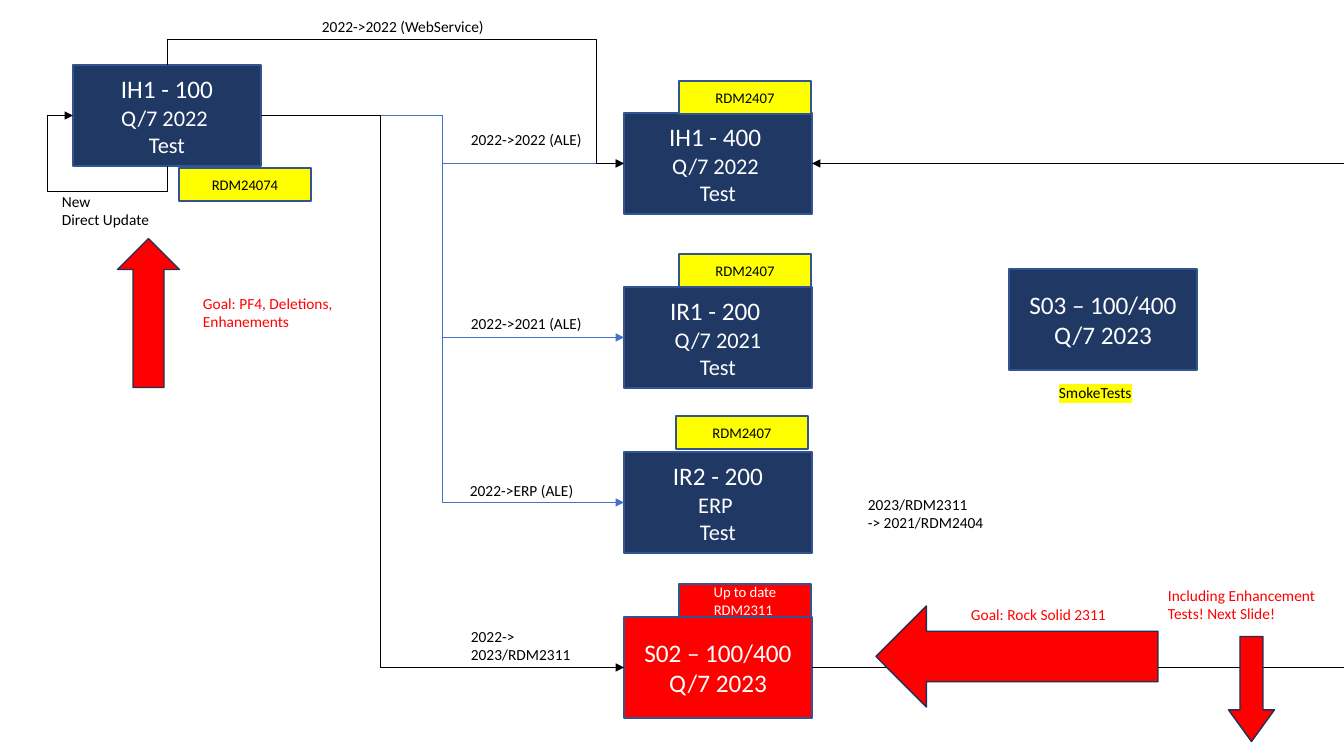
from lxml.etree import SubElement
from pptx import Presentation
from pptx.dml.color import RGBColor
from pptx.enum.shapes import MSO_CONNECTOR, MSO_SHAPE
from pptx.enum.text import MSO_ANCHOR, MSO_AUTO_SIZE, PP_ALIGN
from pptx.oxml.ns import qn
from pptx.util import Pt

EMU_PER_PX = 914400 / 100.8
PAGE_WIDTH, PAGE_HEIGHT = 1344, 756
BOX_WIDTH, BOX_HEIGHT = 188, 101
TAG_WIDTH, TAG_HEIGHT = 132, 33
TARGET_LEFT = 624
TOP, LEFT, BOTTOM, RIGHT = range(4)

NAVY = RGBColor(0x20, 0x38, 0x64)
BORDER = RGBColor(0x32, 0x54, 0x91)
ARROW_BORDER = RGBColor(0x1E, 0x32, 0x56)
BLUE = RGBColor(0x44, 0x72, 0xC4)
RED = RGBColor(0xFF, 0x00, 0x00)
YELLOW = RGBColor(0xFF, 0xFF, 0x00)
BLACK = RGBColor(0x00, 0x00, 0x00)
WHITE = RGBColor(0xFF, 0xFF, 0xFF)

CENTRED_FRAME = {"word_wrap": True, "vertical_anchor": MSO_ANCHOR.MIDDLE}
LABEL_FRAME = {"word_wrap": True, "auto_size": MSO_AUTO_SIZE.SHAPE_TO_FIT_TEXT}


def px(*lengths):
    return [round(length * EMU_PER_PX) for length in lengths]


def apply_format(target, values):
    for name, value in values.items():
        setattr(target, name, value)


def write_lines(frame, lines, sizes, color, align):
    """Write one paragraph per line, each with its own size."""
    for index, (line, size) in enumerate(zip(lines, sizes)):
        para = frame.paragraphs[0] if index == 0 else frame.add_paragraph()
        para.alignment = align
        span = para.add_run()
        span.text = line
        apply_format(span.font, {"name": "Calibri", "size": Pt(size)})
        span.font.color.rgb = color


def add_filled_shape(page, kind, bounds, fill, border):
    shape = page.shapes.add_shape(kind, *px(*bounds))
    shape.shadow.inherit = False
    shape.fill.solid()
    shape.fill.fore_color.rgb = fill
    shape.line.color.rgb = border
    shape.line.width = Pt(1)
    return shape


def add_panel(page, bounds, lines, sizes, fill, color):
    panel = add_filled_shape(page, MSO_SHAPE.RECTANGLE, bounds, fill, BORDER)
    apply_format(panel.text_frame, CENTRED_FRAME)
    write_lines(panel.text_frame, lines, sizes, color, PP_ALIGN.CENTER)
    return panel


def add_system(page, left, top, lines, sizes=(18, 16, 16), fill=NAVY):
    return add_panel(page, (left, top, BOX_WIDTH, BOX_HEIGHT), lines, sizes, fill, WHITE)


def add_tag(page, left, top, text, fill=YELLOW, color=BLACK):
    add_panel(page, (left, top, TAG_WIDTH, TAG_HEIGHT), [text], [10.5], fill, color)


def add_label(page, left, top, width, *lines, color=BLACK):
    height = 29 if len(lines) == 1 else 47
    label = page.shapes.add_textbox(*px(left, top, width, height))
    apply_format(label.text_frame, LABEL_FRAME)
    write_lines(label.text_frame, lines, [11] * len(lines), color, PP_ALIGN.LEFT)
    return label


def highlight(label, color):
    for fill in label.element.iter(qn("a:solidFill")):
        mark = SubElement(fill.getparent(), qn("a:highlight"))
        SubElement(mark, qn("a:srgbClr"), val=str(color))
        fill.addnext(mark)


def add_block_arrow(page, bounds, rotation=0, adjustments=()):
    arrow = add_filled_shape(page, MSO_SHAPE.LEFT_ARROW, bounds, RED, ARROW_BORDER)
    arrow.rotation = rotation
    for index, value in enumerate(adjustments):
        arrow.adjustments[index] = value


def style_line(connector, color, arrow_end):
    connector.line.color.rgb = color
    connector.line.width = Pt(0.5)
    properties = connector.element.spPr
    if arrow_end:
        SubElement(properties.find(qn("a:ln")), qn(f"a:{arrow_end}"), type="triangle")
    SubElement(properties, qn("a:effectLst"))


def add_elbow(page, source, source_side, target, color, preset, adjustments):
    """Join source to the left side of target with a bent arrow."""
    connector = page.shapes.add_connector(MSO_CONNECTOR.ELBOW, 0, 0, 0, 0)
    connector.begin_connect(source, source_side)
    connector.end_connect(target, LEFT)
    geometry = connector.element.spPr.find(qn("a:prstGeom"))
    geometry.set("prst", preset)
    guides = geometry.find(qn("a:avLst"))
    if guides is None:
        guides = SubElement(geometry, qn("a:avLst"))
    for index, value in enumerate(adjustments, start=1):
        SubElement(guides, qn("a:gd"), name=f"adj{index}", fmla=f"val {round(value * 100000)}")
    style_line(connector, color, "tailEnd")
    return connector


def add_loop(page, source, source_side, target, rotation, adjustments):
    """Leave source vertically: a turned, mirrored elbow about the same centre."""
    loop = add_elbow(page, source, source_side, target, BLACK, "bentConnector4", adjustments)
    width, height = loop.width, loop.height
    shift = (width - height) // 2
    apply_format(loop, {"left": loop.left + shift, "top": loop.top - shift,
                        "width": height, "height": width})
    transform = loop.element.spPr.find(qn("a:xfrm"))
    transform.attrib.pop("flipV", None)
    transform.set("flipH", "1")
    transform.set("rot", str(rotation * 60000))


def add_edge_line(page, box, arrow_end=None):
    """Run from the right side of the box to the edge of the page."""
    edge, = px(PAGE_WIDTH)
    connector = page.shapes.add_connector(MSO_CONNECTOR.STRAIGHT, 0, 0, edge, 0)
    connector.begin_connect(box, RIGHT)
    connector.end_y = connector.begin_y
    style_line(connector, BLACK, arrow_end)


def main():
    deck = Presentation()
    deck.slide_width, deck.slide_height = px(PAGE_WIDTH, PAGE_HEIGHT)
    page = deck.slides.add_slide(deck.slide_layouts[6])

    source = add_system(page, 73, 65, ["IH1 - 100", "Q/7 2022 ", "Test"])
    ir1 = add_system(page, TARGET_LEFT, 287, ["IR1 - 200 ", "Q/7 2021", "Test"])
    ir2 = add_system(page, TARGET_LEFT, 452, ["IR2 - 200", "ERP ", "Test"])
    s02 = add_system(page, TARGET_LEFT, 617, ["S02 – 100/400", "Q/7 2023"], (18, 18), RED)
    ih1 = add_system(page, TARGET_LEFT, 113, ["IH1 - 400 ", "Q/7 2022 ", "Test"])
    add_system(page, 1009, 269, ["S03 – 100/400", "Q/7 2023"], (18, 18))

    add_tag(page, 179, 168, "RDM24074")
    for left, top in ((679, 254), (676, 416), (679, 81)):
        add_tag(page, left, top, "RDM2407")
    add_tag(page, 679, 584, "Up to date RDM2311 ", RED, WHITE)

    for target, color, bend in ((ih1, BLUE, 0.5), (ir1, BLUE, 0.5),
                                (ir2, BLUE, 0.5), (s02, BLACK, 0.33)):
        add_elbow(page, source, RIGHT, target, color, "bentConnector3", [bend])
    add_edge_line(page, s02)
    add_edge_line(page, ih1, "headEnd")
    add_loop(page, source, TOP, ih1, 270, [-0.26, 0.94])
    add_loop(page, source, BOTTOM, source, 90, [-0.5, 1.27])

    add_label(page, 461, 125, 137, "2022->2022 (ALE)")
    add_label(page, 461, 309, 137, "2022->2021 (ALE)")
    add_label(page, 460, 476, 137, "2022->ERP (ALE)")
    add_label(page, 461, 622, 137, "2022->", "2023/RDM2311")
    add_label(page, 858, 490, 137, "2023/RDM2311", "-> 2021/RDM2404")
    add_label(page, 312, 12, 261, "2022->2022 (WebService)")
    add_label(page, 52, 187, 123, "New", "Direct Update")
    highlight(add_label(page, 1049, 378, 137, "SmokeTests"), YELLOW)

    add_block_arrow(page, (876, 606, 282, 101))
    add_block_arrow(page, (1199, 666, 105, 46), 270, (0.5, 0.69))
    add_block_arrow(page, (74, 282, 149, 62), 90)
    add_label(page, 961, 600, 206, "Goal: Rock Solid 2311", color=RED)
    add_label(page, 1158, 581, 206, "Including Enhancement", "Tests! Next Slide!", color=RED)
    add_label(page, 193, 289, 206, "Goal: PF4, Deletions,", "Enhanements", color=RED)

    deck.save("out.pptx")


if __name__ == "__main__":
    main()
